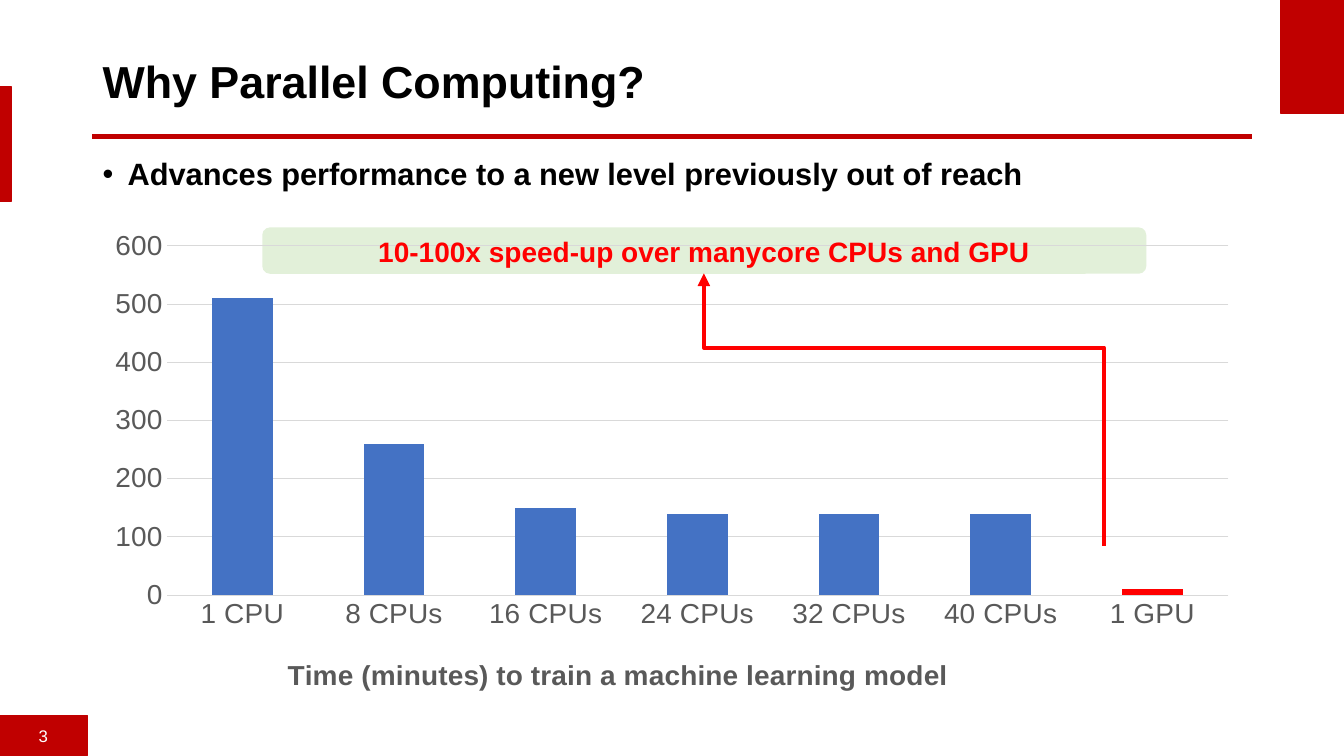
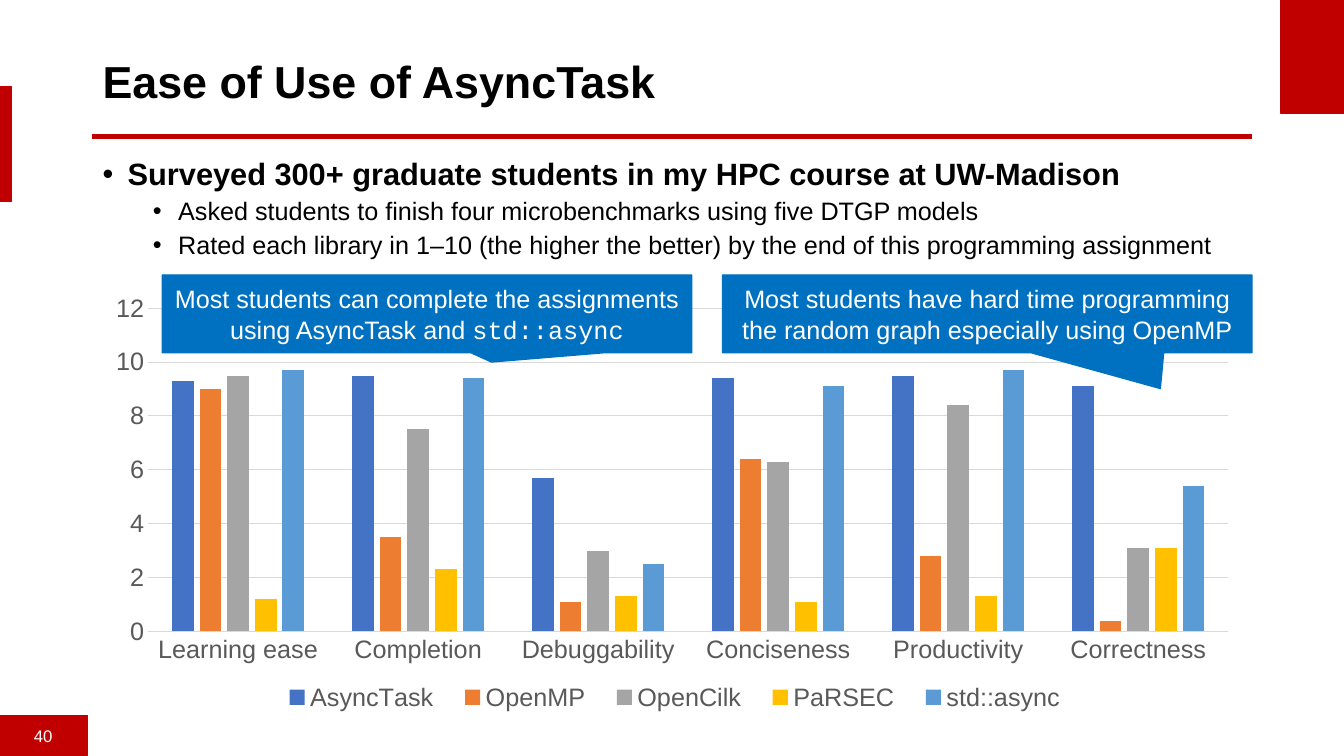
from lxml import etree
from pptx import Presentation
from pptx.chart.data import CategoryChartData
from pptx.dml.color import RGBColor
from pptx.enum.chart import XL_CHART_TYPE as CT, XL_LEGEND_POSITION as LEGEND, XL_TICK_MARK as TICK
from pptx.enum.shapes import MSO_CONNECTOR as CONN, MSO_SHAPE as SHAPE
from pptx.enum.text import MSO_ANCHOR as ANCHOR, PP_ALIGN as ALIGN
from pptx.oxml.ns import qn
from pptx.util import Cm, Pt

COLORS = {
    "black": "000000", "white": "FFFFFF", "brand": "C00000", "red": "FF0000",
    "green": "E2F0D9", "callout": "0070C0", "gray": "595959", "grid": "D9D9D9",
    "blue": "4472C4", "orange": "ED7D31", "silver": "A5A5A5", "gold": "FFC000", "sky": "5B9BD5",
}
RGB = {name: RGBColor.from_string(value) for name, value in COLORS.items()}
FONT, MONO = "Arial", "Courier New"
LEFT, WIDTH = 2.33, 29.21
SLIDE_W, SLIDE_H = 33.87, 19.05


def style(font, size, color, bold=False, name=FONT):
    font.size, font.bold, font.name = Pt(size), bold, name
    font.color.rgb = RGB[color]


def set_layout(parent, index, **fractions):
    """Place a chart part by fractions of the chart area."""
    for old in parent.findall(qn("c:layout")):
        parent.remove(old)
    layout = etree.Element(qn("c:layout"))
    parent.insert(index, layout)
    manual = etree.SubElement(layout, qn("c:manualLayout"))
    if parent.tag == qn("c:plotArea"):
        etree.SubElement(manual, qn("c:layoutTarget"), val="inner")
    for mode in ("xMode", "yMode"):
        etree.SubElement(manual, qn(f"c:{mode}"), val="edge")
    for key, value in fractions.items():
        etree.SubElement(manual, qn(f"c:{key}"), val=str(value))


PAGES = [
    {
        "number": "3",
        "title": "Why Parallel Computing?",
        "bullets": [(0, "Advances performance to a new level previously out of reach")],
        "top": 5.56, "height": 12.07, "size": 20, "gap": 150, "overlap": 0,
        "max": 600, "step": 100,
        "plot": dict(x=0.064, y=0.054, w=0.916, h=0.746),
        "cats": ["1 CPU", "8 CPUs", "16 CPUs", "24 CPUs", "32 CPUs", "40 CPUs", "1 GPU"],
        "series": [("Series 1", "blue", [510, 260, 150, 140, 140, 140, 10])],
    },
    {
        "number": "40",
        "title": "Ease of Use of AsyncTask",
        "bullets": [
            (0, "Surveyed 300+ graduate students in my HPC course at UW-Madison"),
            (1, "Asked students to finish four microbenchmarks using five DTGP models"),
            (1, "Rated each library in 1–10 (the higher the better) by the end of this "
                "programming assignment"),
        ],
        "top": 7.19, "height": 10.9, "size": 18, "gap": 219, "overlap": -27,
        "max": 12, "step": 2,
        "plot": dict(x=0.048, y=0.053, w=0.932, h=0.747),
        "cats": ["Learning ease", "Completion", "Debuggability", "Conciseness",
                 "Productivity", "Correctness"],
        "series": [
            ("AsyncTask", "blue", [9.3, 9.5, 5.7, 9.4, 9.5, 9.1]),
            ("OpenMP", "orange", [9, 3.5, 1.1, 6.4, 2.8, 0.4]),
            ("OpenCilk", "silver", [9.5, 7.5, 3, 6.3, 8.4, 3.1]),
            ("PaRSEC", "gold", [1.2, 2.3, 1.3, 1.1, 1.3, 3.1]),
            ("std::async", "sky", [9.7, 9.4, 2.5, 9.1, 9.7, 5.4]),
        ],
    },
]

prs = Presentation()
prs.slide_width, prs.slide_height = Cm(SLIDE_W), Cm(SLIDE_H)
layout = prs.slide_layouts[1]
slides = [prs.slides.add_slide(layout) for page in PAGES]

# Shared layout: placeholder places, red bands and title rule
for ph, top, height in ((layout.placeholders[0], 0.71, 2.79), (layout.placeholders[1], 3.87, 13.08)):
    ph.left, ph.top, ph.width, ph.height = Cm(LEFT), Cm(top), Cm(WIDTH), Cm(height)

shapes = slides[0].shapes
rule = shapes.add_connector(CONN.STRAIGHT, Cm(LEFT), Cm(3.44), Cm(LEFT + WIDTH), Cm(3.44))
rule.line.color.rgb, rule.line.width = RGB["brand"], Pt(3)
etree.SubElement(rule._element.spPr, qn("a:effectLst"))
decor = [rule]
for x, y, w, h in ((32.27, 0, 1.6, 2.85), (0, 2.18, 0.28, 2.9)):
    band = shapes.add_shape(SHAPE.RECTANGLE, Cm(x), Cm(y), Cm(w), Cm(h))
    band.shadow.inherit = False
    band.fill.solid()
    band.fill.fore_color.rgb = band.line.color.rgb = RGB["brand"]
    band.line.width = Pt(1)
    decor.append(band)
for sp in decor:
    layout.shapes._spTree.append(sp._element)

charts = []
for s, page in zip(slides, PAGES):
    # Page number
    sp = s.shapes.add_shape(SHAPE.RECTANGLE, Cm(-0.02), Cm(18.03), Cm(2.22), Cm(1.02))
    sp.shadow.inherit = False
    sp.fill.solid()
    sp.fill.fore_color.rgb = sp.line.color.rgb = RGB["brand"]
    sp.line.width = Pt(0.75)
    sp.text_frame.vertical_anchor = ANCHOR.MIDDLE
    p = sp.text_frame.paragraphs[0]
    p.alignment = ALIGN.CENTER
    r = p.add_run()
    r.text = page["number"]
    style(r.font, 12, "white")

    # Title
    tf = s.shapes.title.text_frame
    tf.vertical_anchor = ANCHOR.MIDDLE
    p = tf.paragraphs[0]
    p.alignment, p.line_spacing = ALIGN.LEFT, 0.9
    r = p.add_run()
    r.text = page["title"]
    style(r.font, 32, "black", bold=True)

    # Bullets
    tf = s.placeholders[1].text_frame
    for i, (level, text) in enumerate(page["bullets"]):
        p = tf.add_paragraph() if i else tf.paragraphs[0]
        pPr = p._p.get_or_add_pPr()
        pPr.set("marL", str(Cm(0.635 + 1.27 * level)))
        pPr.set("indent", str(-Cm(0.635)))
        etree.SubElement(pPr, qn("a:buFont"), typeface=FONT)
        etree.SubElement(pPr, qn("a:buChar"), char="•")
        p.level, p.line_spacing = level, 0.9
        p.space_before = Pt(5 if i else 0)
        r = p.add_run()
        r.text = text
        style(r.font, 18 if level else 22, "black", bold=level == 0)

    # Backing for the speed-up note, under the chart gridlines
    if s is slides[0]:
        sp = s.shapes.add_shape(SHAPE.ROUNDED_RECTANGLE, Cm(6.61), Cm(5.73), Cm(22.28), Cm(1.17))
        sp.shadow.inherit = False
        sp.fill.solid()
        sp.fill.fore_color.rgb = RGB["green"]
        sp.line.fill.background()

    # Column chart
    data = CategoryChartData()
    data.categories = page["cats"]
    for name, color, values in page["series"]:
        data.add_series(name, values)
    chart = s.shapes.add_chart(CT.COLUMN_CLUSTERED, Cm(LEFT), Cm(page["top"]),
                               Cm(WIDTH), Cm(page["height"]), data).chart
    charts.append(chart)
    style(chart.font, page["size"], "black")
    chart.has_title = False
    chart.has_legend = len(page["series"]) > 1
    plot = chart.plots[0]
    plot.vary_by_categories = False
    plot.gap_width, plot.overlap = page["gap"], page["overlap"]
    for ser, (name, color, values) in zip(plot.series, page["series"]):
        ser.format.fill.solid()
        ser.format.fill.fore_color.rgb = RGB[color]
    for axis in (chart.category_axis, chart.value_axis):
        axis.major_tick_mark = axis.minor_tick_mark = TICK.NONE
        axis.format.line.fill.background()
        style(axis.tick_labels.font, page["size"], "gray")
    axis = chart.value_axis
    axis.minimum_scale, axis.maximum_scale, axis.major_unit = 0, page["max"], page["step"]
    axis.major_gridlines.format.line.color.rgb = RGB["grid"]
    axis.major_gridlines.format.line.width = Pt(0.75)
    set_layout(chart._chartSpace.chart.plotArea, 0, **page["plot"])

# Slide 1: highlighted GPU column and axis title
s, chart = slides[0], charts[0]
point = chart.plots[0].series[0].points[6]
point.format.fill.solid()
point.format.fill.fore_color.rgb = RGB["red"]
title = chart.category_axis.axis_title
r = title.text_frame.paragraphs[0].add_run()
r.text = "Time (minutes) to train a machine learning model"
style(r.font, 20, "gray", bold=True)
set_layout(title._element, 1, x=0.164, y=0.922)

# Slide 1: speed-up note and its arrow
tf = s.shapes.add_textbox(Cm(6.95), Cm(5.79), Cm(21.59), Cm(1.12)).text_frame
tf.word_wrap = True
p = tf.paragraphs[0]
p.alignment = ALIGN.CENTER
r = p.add_run()
r.text = "10-100x speed-up over manycore CPUs and GPU"
style(r.font, 20, "red", bold=True)

arrow = s.shapes.add_connector(CONN.ELBOW, Cm(19.35), Cm(5.28), Cm(26.21), Cm(15.36))
arrow.line.color.rgb, arrow.line.width = RGB["red"], Pt(3)
spPr = arrow._element.spPr
spPr.find(qn("a:xfrm")).set("rot", "16200000")
spPr.find(qn("a:xfrm")).set("flipH", "1")
guides = spPr.find(qn("a:prstGeom")).find(qn("a:avLst"))
etree.SubElement(guides, qn("a:gd"), name="adj1", fmla="val 27300")
etree.SubElement(spPr.find(qn("a:ln")), qn("a:headEnd"), type="triangle")
etree.SubElement(spPr, qn("a:effectLst"))

# Slide 2: legend and category axis line
s, chart = slides[1], charts[1]
chart.legend.position = LEGEND.BOTTOM
chart.legend.include_in_layout = False
style(chart.legend.font, 18, "gray")
set_layout(chart.legend._element, 1, x=0.15, y=0.905, w=0.705, h=0.095)
chart.category_axis.format.line.color.rgb = RGB["grid"]
chart.category_axis.format.line.width = Pt(0.75)

# Slide 2: callouts, with the text as (words, font) runs
CALLOUTS = [
    (18.21, (0.327, 0.96), [("Most students have hard time programming the random graph "
                             "especially using OpenMP", FONT)]),
    (4.09, (0.122, 0.619), [("Most students can complete the assignments using AsyncTask and ", FONT),
                            ("std::async", MONO)]),
]
for x, tip, runs in CALLOUTS:
    sp = s.shapes.add_shape(SHAPE.RECTANGULAR_CALLOUT, Cm(x), Cm(6.93), Cm(13.34), Cm(1.96))
    sp.shadow.inherit = False
    sp.adjustments[0], sp.adjustments[1] = tip
    sp.fill.solid()
    sp.fill.fore_color.rgb = sp.line.color.rgb = RGB["callout"]
    sp.line.width = Pt(1)
    tf = sp.text_frame
    tf.word_wrap, tf.vertical_anchor = True, ANCHOR.MIDDLE
    p = tf.paragraphs[0]
    p.alignment = ALIGN.CENTER
    for text, name in runs:
        r = p.add_run()
        r.text = text
        style(r.font, 18, "white", name=name)

prs.save("out.pptx")
